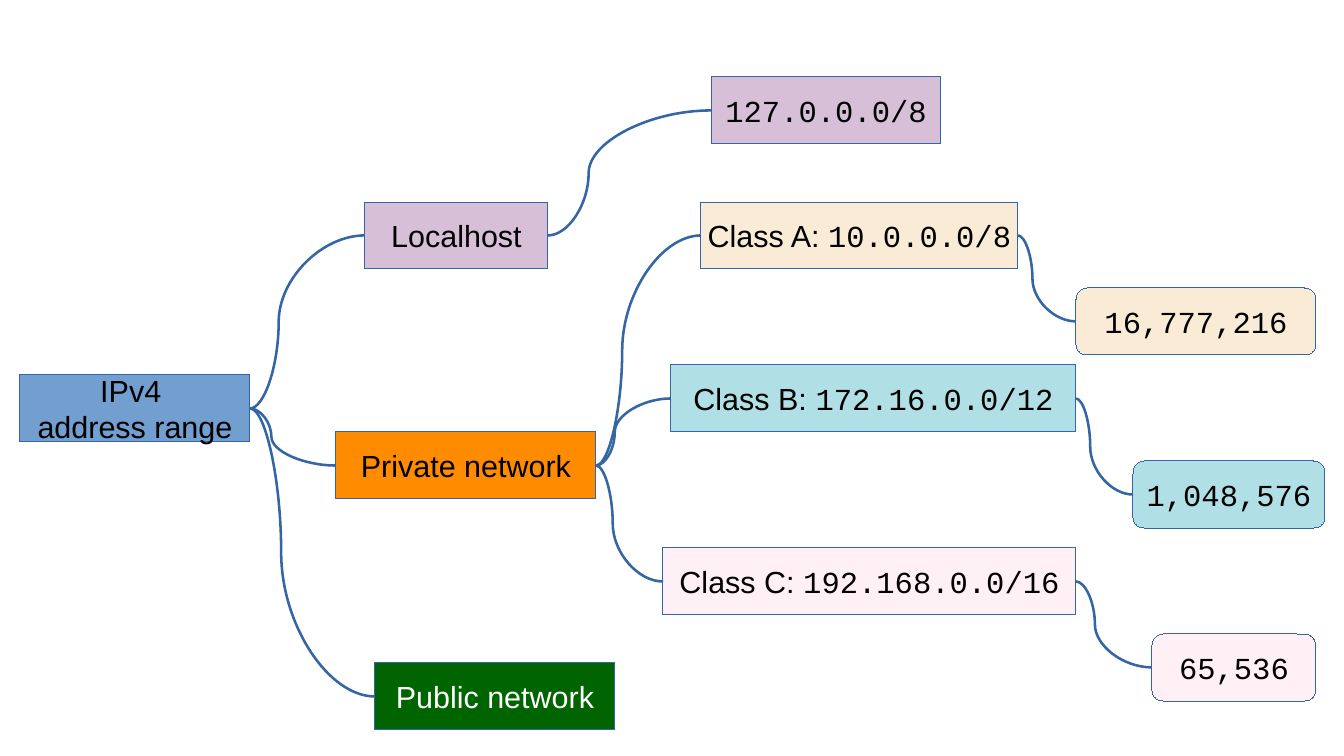
from dataclasses import dataclass

from lxml.etree import SubElement
from pptx import Presentation
from pptx.dml.color import RGBColor
from pptx.enum.shapes import MSO_CONNECTOR, MSO_SHAPE
from pptx.enum.text import MSO_ANCHOR, PP_ALIGN
from pptx.oxml.ns import qn
from pptx.shapes.autoshape import Shape
from pptx.slide import Slide
from pptx.util import Emu, Pt

SLIDE_WIDTH, SLIDE_HEIGHT = 1344, 756
BOX_HEIGHT = 67
LEFT_SITE, RIGHT_SITE = 1, 3
SANS, MONO = "Arial", "Courier New"
COLORS = {
    "line": "3465A4",
    "black": "000000",
    "white": "FFFFFF",
    "root": "729FCF",
    "localhost": "D8BFD8",
    "private": "FF8C00",
    "public": "006400",
    "class_a": "FAEBD7",
    "class_b": "B0E0E6",
    "class_c": "FFF0F5",
}
FRAME_FORMAT = {"word_wrap": False, "vertical_anchor": MSO_ANCHOR.MIDDLE}


@dataclass(frozen=True)
class Node:
    """A box of the tree, with its text split into label and value."""

    key: str
    left: int
    top: int
    width: int
    fill: str
    label: str = ""
    value: str = ""
    parent: str = ""
    rounded: bool = False
    ink: str = "black"


NODES = [
    Node("root", 20, 375, 230, "root", "IPv4 \naddress range"),
    Node("localhost", 365, 202, 183, "localhost", "Localhost", parent="root"),
    Node("private", 336, 432, 260, "private", "Private network", parent="root"),
    Node("public", 375, 663, 240, "public", "Public network", parent="root", ink="white"),
    Node("class_a", 701, 202, 317, "class_a", "Class A: ", "10.0.0.0/8", "private"),
    Node("class_b", 671, 365, 405, "class_b", "Class B: ", "172.16.0.0/12", "private"),
    Node("class_c", 663, 548, 413, "class_c", "Class C: ", "192.168.0.0/16", "private"),
    Node("size_a", 1076, 288, 240, "class_a", "", "16,777,216", "class_a", True),
    Node("size_b", 1133, 461, 192, "class_b", "", "1,048,576", "class_b", True),
    Node("size_c", 1152, 634, 164, "class_c", "", "65,536", "class_c", True),
    Node("loopback", 711, 77, 230, "localhost", "", "127.0.0.0/8", "localhost"),
]


def px(length: int) -> Emu:
    """Turn pixels into EMU."""
    return Emu(round(length * 914400 / 122))


def color(name: str) -> RGBColor:
    """Look up a named colour."""
    return RGBColor.from_string(COLORS[name])


def add_node(slide: Slide, node: Node) -> Shape:
    """Draw one box with a hairline border and centred text."""
    kind = MSO_SHAPE.ROUNDED_RECTANGLE if node.rounded else MSO_SHAPE.RECTANGLE
    s = slide.shapes.add_shape(kind, *map(px, (node.left, node.top, node.width, BOX_HEIGHT)))
    s.shadow.inherit = False
    s.fill.solid()
    s.fill.fore_color.rgb = color(node.fill)
    s.line.color.rgb = color("line")
    s._element.spPr.find(qn("a:ln")).set("w", "0")
    tf = s.text_frame
    for key, setting in FRAME_FORMAT.items():
        setattr(tf, key, setting)
    for i, line in enumerate(node.label.split("\n")):
        p = tf.add_paragraph() if i else tf.paragraphs[0]
        p.alignment = PP_ALIGN.CENTER
        for text, font_name in ((line, SANS), (node.value, MONO)):
            if text:
                r = p.add_run()
                r.text = text
                for key, setting in {"name": font_name, "size": Pt(18)}.items():
                    setattr(r.font, key, setting)
                r.font.color.rgb = color(node.ink)
    return s


def add_branch(slide: Slide, parent: Shape, child: Shape) -> None:
    """Join two boxes by a curve that bends at a quarter of its width."""
    c = slide.shapes.add_connector(MSO_CONNECTOR.CURVE, 0, 0, 0, 0)
    c.begin_connect(parent, RIGHT_SITE)
    c.end_connect(child, LEFT_SITE)
    c.line.color.rgb = color("line")
    c.line.width = Pt(1.5)
    properties = c._element.spPr
    SubElement(properties, qn("a:effectLst"))
    guides = properties.find(qn("a:prstGeom")).find(qn("a:avLst"))
    SubElement(guides, qn("a:gd"), name="adj1", fmla="val 25000")


def main() -> None:
    """Build the slide with the IPv4 address tree."""
    prs = Presentation()
    prs.slide_width, prs.slide_height = px(SLIDE_WIDTH), px(SLIDE_HEIGHT)
    slide = prs.slides.add_slide(prs.slide_layouts[6])
    boxes = {node.key: add_node(slide, node) for node in NODES}
    for node in NODES:
        if node.parent:
            add_branch(slide, boxes[node.parent], boxes[node.key])
    prs.save("out.pptx")


if __name__ == "__main__":
    main()
